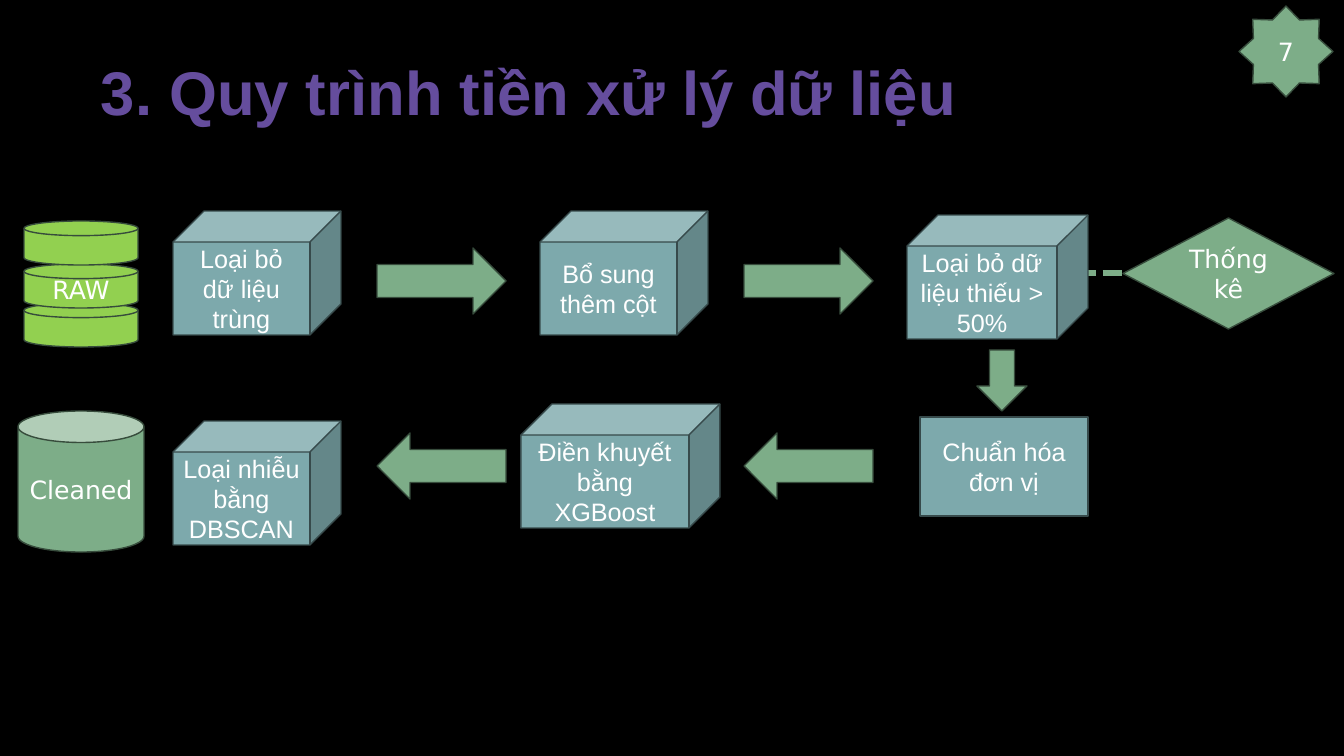
"""Build the slide on the data preprocessing workflow."""
from lxml.etree import SubElement
from pptx import Presentation
from pptx.dml.color import RGBColor
from pptx.enum.dml import MSO_LINE
from pptx.enum.shapes import MSO_CONNECTOR, MSO_SHAPE
from pptx.enum.text import MSO_ANCHOR, PP_ALIGN
from pptx.oxml.ns import qn
from pptx.util import Emu, Pt

THEME = {
    "back": "000000", "title": "654D9D", "text": "FFFFFF",
    "green": "7DAD88", "teal": "7DA9AC", "lime": "92D050",
    "edge": "374C3C", "rim": "374A4B",
    "head": 44, "body": 18, "sans": "Arial", "wide": "DejaVu Sans",
}
SCALE = 914400 / 100.8


def put(par, text, size, face, tone, bold=False):
    """Add one styled run."""
    run = par.add_run()
    run.text = text
    run.font.size = Pt(THEME[size])
    run.font.name = THEME[face]
    run.font.bold = bold
    run.font.color.rgb = RGBColor.from_string(THEME[tone])


def draw(kind, box, fill, edge="edge", text="", face="wide"):
    """Add one filled shape with an optional centred label."""
    shape = slide.shapes.add_shape(kind, *[Emu(round(n * SCALE)) for n in box])
    shape.shadow.inherit = False
    shape.fill.solid()
    shape.fill.fore_color.rgb = RGBColor.from_string(THEME[fill])
    shape.line.color.rgb = RGBColor.from_string(THEME[edge])
    shape.line.width = Pt(1)
    if text:
        frame = shape.text_frame
        frame.word_wrap = True
        frame.vertical_anchor = MSO_ANCHOR.MIDDLE
        par = frame.paragraphs[0]
        par.alignment = PP_ALIGN.CENTER
        put(par, text, "body", face, "text")


deck = Presentation()
deck.slide_width = Emu(round(1344 * SCALE))
deck.slide_height = Emu(round(756 * SCALE))
slide = deck.slides.add_slide(deck.slide_layouts[6])
slide.background.fill.solid()
slide.background.fill.fore_color.rgb = RGBColor.from_string(THEME["back"])

ends = [Emu(round(n * SCALE)) for n in (1027, 273, 1209, 273)]
link = slide.shapes.add_connector(MSO_CONNECTOR.STRAIGHT, *ends)
link.line.color.rgb = RGBColor.from_string(THEME["green"])
link.line.width = Pt(4.5)
link.line.dash_style = MSO_LINE.SQUARE_DOT
SubElement(link._element.spPr, qn("a:effectLst"))

area = [Emu(round(n * SCALE)) for n in (91, 57, 1195, 111)]
title = slide.shapes.add_textbox(*area).text_frame
title.word_wrap = True
title.paragraphs[0].line_spacing = 0.9
put(title.paragraphs[0], "3. Quy trình tiền xử lý dữ liệu",
    "head", "sans", "title", True)

STEPS = [
    (MSO_SHAPE.CUBE, (173, 211, 168, 124), "Loại bỏ dữ liệu trùng"),
    (MSO_SHAPE.CUBE, (540, 211, 168, 124), "Bổ sung thêm cột"),
    (MSO_SHAPE.CUBE, (907, 215, 181, 124), "Loại bỏ dữ liệu thiếu > 50%"),
    (MSO_SHAPE.RECTANGLE, (920, 417, 168, 99), "Chuẩn hóa đơn vị"),
    (MSO_SHAPE.CUBE, (521, 404, 199, 124), "Điền khuyết bằng XGBoost"),
    (MSO_SHAPE.CUBE, (173, 421, 168, 124), "Loại nhiễu bằng DBSCAN"),
]
for kind, box, text in STEPS:
    draw(kind, box, "teal", "rim", text, "sans")

for left in (377, 744):
    draw(MSO_SHAPE.RIGHT_ARROW, (left, 248, 129, 66), "green")
    draw(MSO_SHAPE.LEFT_ARROW, (left, 433, 129, 66), "green")
draw(MSO_SHAPE.DOWN_ARROW, (977, 350, 50, 61), "green")

for top, text in ((303, ""), (264, "RAW"), (221, "")):
    draw(MSO_SHAPE.FLOWCHART_MAGNETIC_DISK, (24, top, 114, 44), "lime", text=text)

draw(MSO_SHAPE.CAN, (18, 411, 126, 141), "green", text="Cleaned")
draw(MSO_SHAPE.DIAMOND, (1123, 218, 211, 111), "green", text="Thống kê")
draw(MSO_SHAPE.STAR_8_POINT, (1239, 6, 94, 91), "green", text="7")

deck.save("out.pptx")
